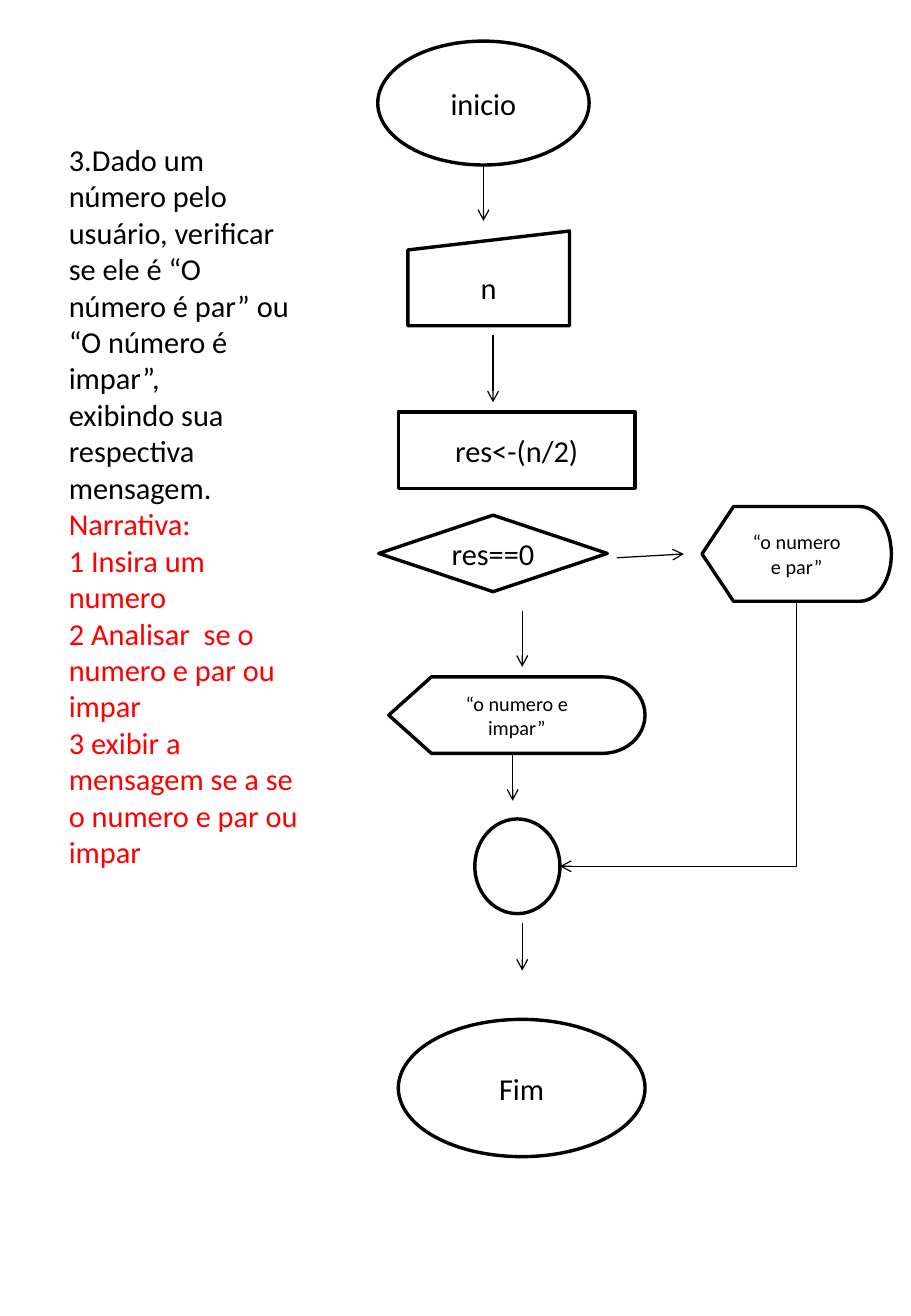
import pptx
import pptx.util
import pptx.dml.color
import pptx.enum.shapes
import pptx.enum.text
import pptx.oxml.ns
import lxml.etree

Cm, Pt = pptx.util.Cm, pptx.util.Pt
RGB = pptx.dml.color.RGBColor
SHAPE = pptx.enum.shapes.MSO_SHAPE
CONNECTOR = pptx.enum.shapes.MSO_CONNECTOR
ALIGN = pptx.enum.text.PP_ALIGN
ANCHOR = pptx.enum.text.MSO_ANCHOR
qn = pptx.oxml.ns.qn

THEME = {
    "font": "Calibri",
    "ink": RGB(0, 0, 0),
    "paper": RGB(255, 255, 255),
    "accent": RGB(255, 0, 0),
    "body": Pt(18),
    "small": Pt(12),
    "outline": Pt(2),
    "arrow": Pt(0.75),
}

# Lengths are centimetres.
SLIDE_SIZE = (19.05, 27.51)

STATEMENT_PLACE = (1.19, 2.82, 5.36, 15.65)
STATEMENT = [
    ("3.Dado um número pelo usuário, verificar se ele é “O número é par” ou “O número é impar”,", "ink"),
    ("exibindo sua respectiva mensagem.", "ink"),
    ("Narrativa:", "accent"),
    ("1 Insira um numero", "accent"),
    ("2 Analisar  se o numero e par ou impar", "accent"),
    ("3 exibir a mensagem se a se o numero e par ou impar", "accent"),
]

# name: (shape, (left, top, width, height), text, type size)
STEPS = {
    "start": (SHAPE.OVAL, (7.9, 0.86, 4.42, 2.59), "inicio", "body"),
    "input": (SHAPE.FLOWCHART_MANUAL_INPUT, (8.53, 4.83, 3.38, 1.98), "n", "body"),
    "process": (SHAPE.FLOWCHART_PROCESS, (8.33, 8.61, 4.95, 1.6), "res<-(n/2)", "body"),
    "decision": (SHAPE.FLOWCHART_DECISION, (7.92, 10.77, 4.78, 1.6), "res==0", "body"),
    "even": (SHAPE.FLOWCHART_DISPLAY, (14.68, 10.59, 3.96, 1.98), "“o numero e par”", "small"),
    "odd": (SHAPE.FLOWCHART_DISPLAY, (8.13, 14.15, 5.36, 1.6), "“o numero e impar”", "small"),
    "junction": (SHAPE.FLOWCHART_CONNECTOR, (9.93, 17.12, 1.78, 1.98), "", "body"),
    "end": (SHAPE.OVAL, (8.33, 21.31, 5.16, 2.87), "Fim", "body"),
}

# (from x, from y, to x, to y)
ARROWS = [
    (10.11, 3.45, 10.11, 4.62),
    (10.31, 7.01, 10.31, 8.41),
    (12.9, 11.66, 14.3, 11.58),
    (10.92, 12.78, 10.92, 13.94),
    (10.72, 15.75, 10.72, 16.74),
    (10.92, 19.3, 10.92, 20.29),
]


def set_attributes(target, values):
    for name, value in values.items():
        setattr(target, name, value)


def write(para, text, size, color):
    span = para.add_run()
    span.text = text
    set_attributes(span.font, {"name": THEME["font"], "size": THEME[size]})
    span.font.color.rgb = THEME[color]


def add_statement(page):
    box = page.shapes.add_textbox(*map(Cm, STATEMENT_PLACE))
    frame = box.text_frame
    frame.word_wrap = True
    for index, (text, color) in enumerate(STATEMENT):
        para = frame.add_paragraph() if index else frame.paragraphs[0]
        write(para, text, "body", color)


def add_step(page, kind, place, text, size):
    step = page.shapes.add_shape(kind, *map(Cm, place))
    step.shadow.inherit = False
    step.fill.solid()
    step.fill.fore_color.rgb = THEME["paper"]
    step.line.color.rgb = THEME["ink"]
    step.line.width = THEME["outline"]
    set_attributes(step.text_frame, {"word_wrap": True, "vertical_anchor": ANCHOR.MIDDLE})
    if text:
        para = step.text_frame.paragraphs[0]
        para.alignment = ALIGN.CENTER
        write(para, text, size, "ink")
    return step


def add_arrow(page, kind, start_x, start_y, end_x, end_y):
    arrow = page.shapes.add_connector(kind, start_x, start_y, end_x, end_y)
    arrow.line.color.rgb = THEME["ink"]
    arrow.line.width = THEME["arrow"]
    lxml.etree.SubElement(arrow.line._get_or_add_ln(), qn("a:tailEnd"), type="arrow")
    lxml.etree.SubElement(arrow._element.spPr, qn("a:effectLst"))
    return arrow


def add_corner_arrow(page, source, target):
    """Run down from the source's bottom, then left to the target's right side.

    A one-bend connector goes right and then down, so it is turned by 90 degrees
    about the centre of the area it spans.
    """
    start_x, start_y = source.left + source.width // 2, source.top + source.height
    end_x, end_y = target.left + target.width, target.top + target.height // 2
    across, down = start_x - end_x, end_y - start_y
    left = (start_x + end_x - down) // 2
    top = (start_y + end_y - across) // 2
    arrow = add_arrow(page, CONNECTOR.ELBOW, left, top, left + down, top + across)
    properties = arrow._element.spPr
    properties.find(qn("a:xfrm")).set("rot", "5400000")
    properties.find(qn("a:prstGeom")).set("prst", "bentConnector2")
    # A round shape has eight sites; number 6 is its right side.
    links = arrow._element.nvCxnSpPr.cNvCxnSpPr
    for tag, shape, site in (("a:stCxn", source, 2), ("a:endCxn", target, 6)):
        lxml.etree.SubElement(links, qn(tag), id=str(shape.shape_id), idx=str(site))


def main():
    deck = pptx.Presentation()
    deck.slide_width, deck.slide_height = map(Cm, SLIDE_SIZE)
    page = deck.slides.add_slide(deck.slide_layouts.get_by_name("Blank"))
    add_statement(page)
    steps = {name: add_step(page, *values) for name, values in STEPS.items()}
    for ends in ARROWS:
        add_arrow(page, CONNECTOR.STRAIGHT, *map(Cm, ends))
    add_corner_arrow(page, steps["even"], steps["junction"])
    deck.save("out.pptx")


if __name__ == "__main__":
    main()
